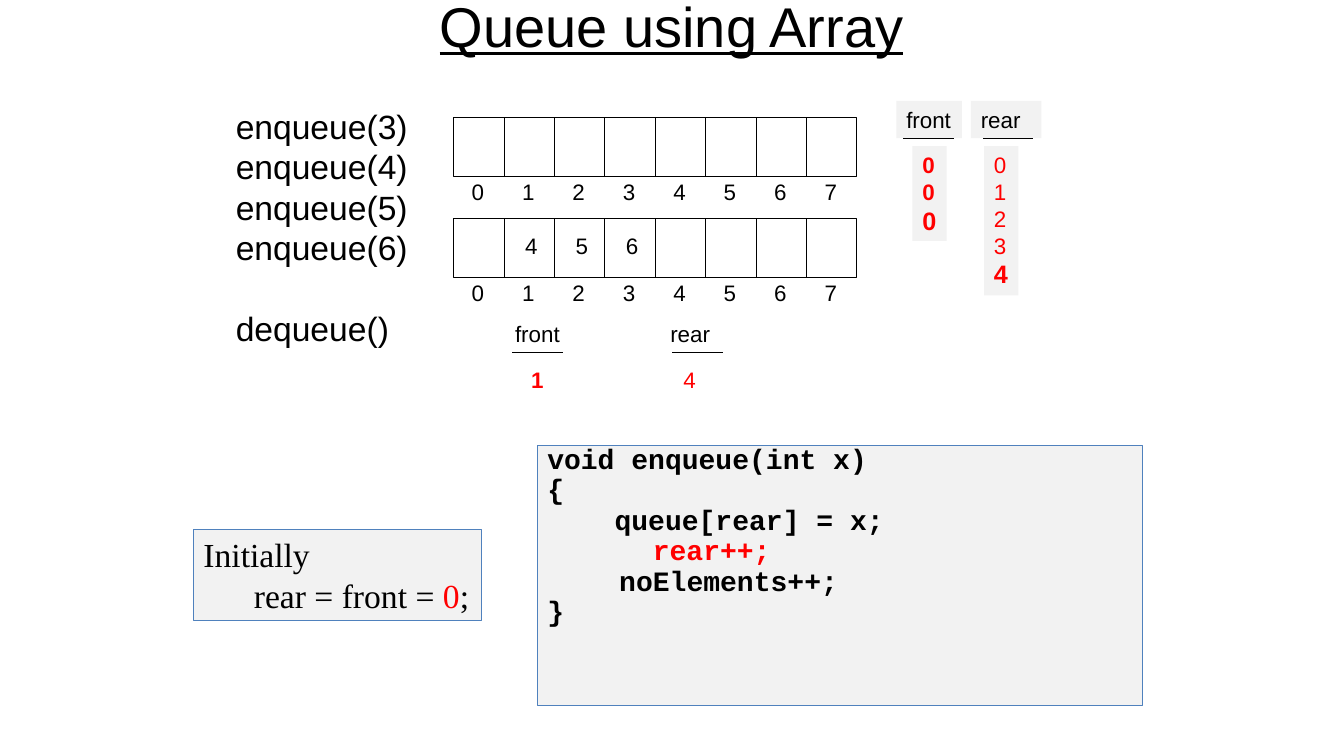
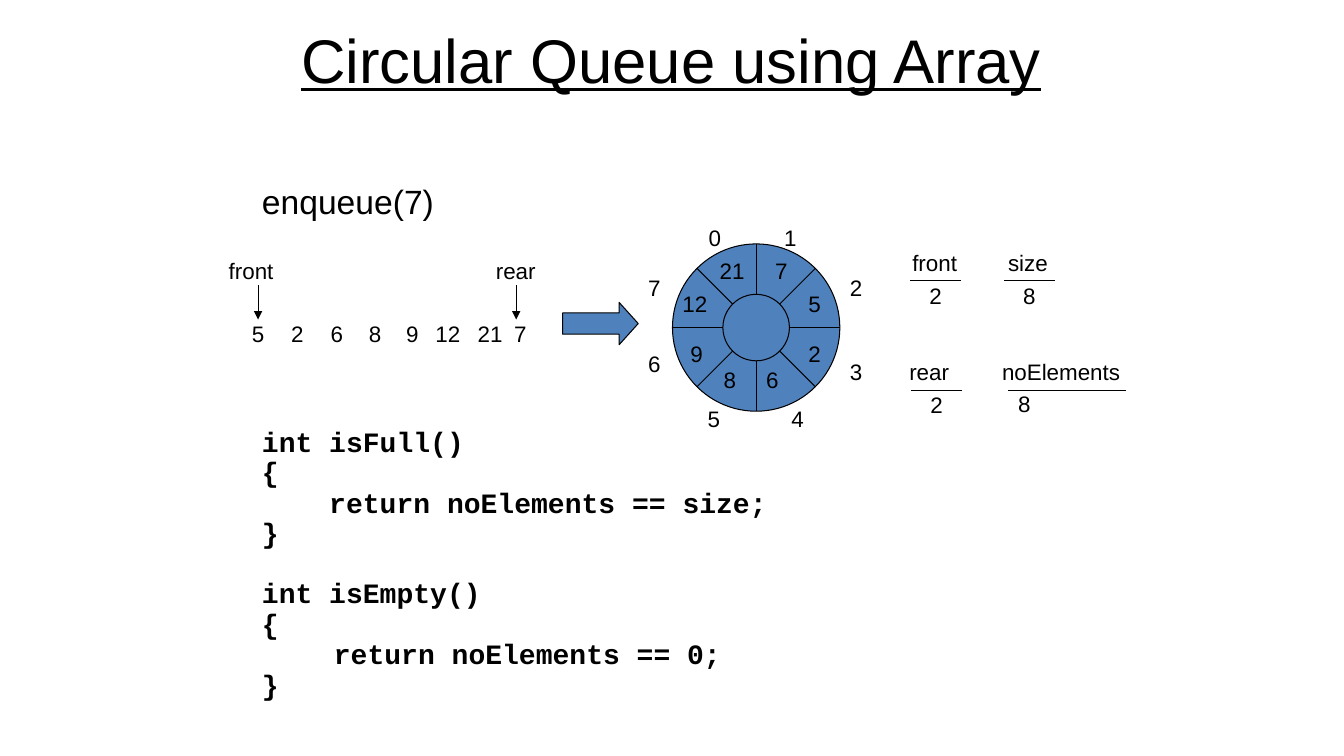
import math

from pptx import Presentation
from pptx.dml.color import RGBColor
from pptx.enum import shapes, text
from pptx.oxml.ns import qn
from pptx.util import Inches, Pt
from lxml import etree

BLACK, WHITE, RED = "000000", "FFFFFF", "FF0000"
GREY, BLUE = "F2F2F2", "4F81BD"
SANS, SERIF, MONO = "Arial", "Times New Roman", "Courier New"


def rgb(value):
    return RGBColor.from_string(value)


def run(content, **style):
    """A piece of text with its own style: size, color, bold, font, underline."""
    return content, style


def para(*runs, before=0, indent=0, spacing=None):
    """A paragraph made of strings or styled runs."""
    return runs, before, indent, spacing


class Deck:
    """Holds the shared style and the slide being drawn."""

    def __init__(self):
        self.prs = Presentation()
        self.prs.slide_width = Inches(13.33)
        self.prs.slide_height = Inches(7.5)
        self.s = None

    def slide(self, title, top, size):
        self.s = self.prs.slides.add_slide(self.prs.slide_layouts[6])
        sp = self.text(2.16, top, 9, 1, [title], size=size, underline=True)
        sp.text_frame.vertical_anchor = text.MSO_ANCHOR.MIDDLE
        sp.text_frame.paragraphs[0].alignment = text.PP_ALIGN.CENTER

    def shape(self, kind, x, y, w, h, fill, line=None):
        sp = self.s.shapes.add_shape(kind, Inches(x), Inches(y), Inches(w), Inches(h))
        sp.shadow.inherit = False
        sp.fill.solid()
        sp.fill.fore_color.rgb = rgb(fill)
        if line:
            sp.line.color.rgb = rgb(line)
            sp.line.width = Pt(0.75)
        else:
            sp.line.fill.background()
        return sp

    def rect(self, x, y, w, h, fill, line=None):
        return self.shape(shapes.MSO_SHAPE.RECTANGLE, x, y, w, h, fill, line)

    def text(self, x, y, w, h, paras, fill=None, line=None, **style):
        if fill:
            sp = self.rect(x, y, w, h, fill, line)
        else:
            sp = self.s.shapes.add_textbox(Inches(x), Inches(y), Inches(w), Inches(h))
        tf = sp.text_frame
        tf.word_wrap = True
        tf.vertical_anchor = text.MSO_ANCHOR.TOP
        for i, item in enumerate(paras):
            runs, before, indent, spacing = para(item) if isinstance(item, str) else item
            p = tf.paragraphs[0] if i == 0 else tf.add_paragraph()
            p.alignment = text.PP_ALIGN.LEFT
            if i and before:
                p.space_before = Pt(before)
            if spacing:
                p.line_spacing = spacing
            if indent:
                p._p.get_or_add_pPr().set("marL", str(Inches(indent)))
            for piece in runs:
                content, own = (piece, {}) if isinstance(piece, str) else piece
                self.add_run(p, content, **{**style, **own})
        return sp

    def add_run(self, p, content, size=16, color=BLACK, bold=False, font=SANS,
                underline=False):
        r = p.add_run()
        r.text = content
        r.font.size = Pt(size)
        r.font.name = font
        r.font.bold = bold
        r.font.underline = underline
        r.font.color.rgb = rgb(color)

    def label(self, content, x, y, w=0.33, **style):
        return self.text(x, y, w, 0.37, [content], **style)

    def code(self, x, y, w, h, lines, **box):
        """Lines are strings or (text, extra) with indent, color or before."""
        paras = []
        for item in lines:
            content, extra = (item, {}) if isinstance(item, str) else item
            paras.append(para(run(content, color=extra.get("color", BLACK)),
                              before=extra.get("before", 5),
                              indent=extra.get("indent", 0), spacing=0.7))
        return self.text(x, y, w, h, paras, size=20, bold=True, font=MONO, **box)

    def line(self, x1, y1, x2, y2, arrow=False):
        c = self.s.shapes.add_connector(shapes.MSO_CONNECTOR.STRAIGHT, Inches(x1),
                                        Inches(y1), Inches(x2), Inches(y2))
        c.line.color.rgb = rgb(BLACK)
        c.line.width = Pt(0.75)
        if arrow:
            etree.SubElement(c.line._get_or_add_ln(), qn("a:tailEnd"), type="triangle")
        etree.SubElement(c._element.spPr, qn("a:effectLst"))
        return c

    def array(self, y, values, x=4.5, cell=0.5, count=8, h=0.58):
        """A row of cells with the index below each one."""
        box = self.rect(x, y, cell * count, h, WHITE, BLACK)
        for i in range(count):
            left = x + cell * i
            if i:
                c = self.line(left, y, left, y + h)
                if 2 * i == count:
                    c.begin_connect(box, 0)
                    c.end_connect(box, 2)
            self.label(str(i), left + 0.08, y + 0.55)
            if i in values:
                self.label(values[i], left + 0.11, y + 0.08)

    def variable(self, name, x, y, w, rule_x, rule_y, rule_w=0.5, fill=None):
        """A variable name with a rule under it."""
        self.label(name, x, y, w, fill=fill)
        self.line(rule_x, rule_y, rule_x + rule_w, rule_y)


def array_slide(deck):
    deck.slide("Queue using Array", -0.25, 40)

    # Calls and the arrays before and after them
    calls = [f"enqueue({n})" for n in range(3, 7)]
    deck.text(2.24, 1, 1.96, 2.52, calls + [para("dequeue()", before=29)], size=24)
    deck.array(1.17, {})
    deck.array(2.17, {1: "4", 2: "5", 3: "6"})

    # History of front and rear
    deck.variable("front", 8.89, 1, 0.65, 8.96, 1.37, fill=GREY)
    deck.variable("rear", 9.63, 1, 0.7, 9.75, 1.37, fill=GREY)
    deck.text(9.05, 1.45, 0.34, 0.94, ["0", "0", para(run("0", size=18))],
              fill=GREY, color=RED, bold=True)
    deck.text(9.76, 1.45, 0.34, 1.48,
              ["0", "1", "2", "3", para(run("4", size=18, bold=True))],
              fill=GREY, color=RED)

    # Values after dequeue
    deck.variable("front", 5.01, 3.13, 0.65, 5.08, 3.5)
    deck.label("1", 5.17, 3.58, color=RED, bold=True)
    deck.variable("rear", 6.55, 3.13, 0.7, 6.67, 3.5)
    deck.label("4", 6.68, 3.58, color=RED)

    # Code and starting state
    deck.code(5.33, 4.42, 6, 2.58, [
        "void enqueue(int x)",
        "{",
        "    queue[rear] = x;",
        (" rear++;", {"indent": 0.88, "color": RED}),
        ("  noElements++;", {"indent": 0.38}),
        "}",
    ], fill=GREY, line=BLUE)
    deck.text(1.92, 5.25, 2.86, 0.91, [
        "Initially",
        para("rear = front = ", run("0", color=RED), ";", indent=0.5),
    ], fill=GREY, line=BLUE, size=24, font=SERIF)


def circular_slide(deck):
    deck.slide("Circular Queue using Array", 0.08, 44)
    deck.text(2.5, 1.75, 1.91, 0.5, ["enqueue(7)"], size=24)

    # Queue contents with the two pointers
    queue = [("5", 2.4), ("2", 2.79), ("6", 3.18), ("8", 3.56), ("9", 3.93),
             ("12", 4.22), ("21", 4.64), ("7", 5)]
    for value, x in queue:
        deck.label(value, x, 3.13, 0.33 if len(value) == 1 else 0.46)
    for name, x, w, tip in [("front", 2.17, 0.65, 2.56), ("rear", 4.82, 0.6, 5.12)]:
        deck.label(name, x, 2.5, w)
        deck.line(tip, 2.83, tip, 3.17, arrow=True)
    arrow = deck.shape(shapes.MSO_SHAPE.RIGHT_ARROW, 5.58, 3, 0.75, 0.42, BLUE, BLACK)
    arrow.adjustments[1] = 0.45

    # Ring with eight cells
    cx, cy, outer, inner = 7.5, 3.25, 0.83, 0.33
    for radius in (outer, inner):
        deck.shape(shapes.MSO_SHAPE.OVAL, cx - radius, cy - radius,
                   2 * radius, 2 * radius, BLUE, BLACK)
    for k in range(8):
        dx, dy = math.cos(k * math.pi / 4), math.sin(k * math.pi / 4)
        deck.line(cx + inner * dx, cy + inner * dy, cx + outer * dx, cy + outer * dy)

    # Index outside and value inside each cell
    indexes = [(6.93, 2.17), (7.68, 2.17), (8.33, 2.67), (8.33, 3.5),
               (7.75, 3.97), (6.92, 3.97), (6.33, 3.42), (6.33, 2.67)]
    cells = [("21", 7.04, 2.5), ("7", 7.59, 2.5), ("5", 7.92, 2.83), ("2", 7.92, 3.33),
             ("6", 7.5, 3.58), ("8", 7.08, 3.58), ("9", 6.75, 3.33), ("12", 6.67, 2.83)]
    for i, (x, y) in enumerate(indexes):
        deck.label(str(i), x, y)
    for value, x, y in cells:
        deck.label(value, x, y, 0.33 if len(value) == 1 else 0.46)

    # Variables
    deck.variable("front", 8.95, 2.42, 0.65, 9.03, 2.78)
    deck.label("2", 9.12, 2.75)
    deck.variable("size", 9.9, 2.42, 0.6, 9.96, 2.78)
    deck.label("8", 10.05, 2.75)
    deck.variable("rear", 8.92, 3.5, 0.7, 9.04, 3.87)
    deck.label("2", 9.13, 3.83)
    deck.variable("noElements", 9.84, 3.5, 1.41, 10, 3.87, 1.17)
    deck.label("8", 10, 3.82)

    # Code
    deck.code(2.5, 4.25, 8.92, 2.83, [
        "int isFull()",
        "{",
        "    return noElements == size;",
        "}",
        ("int isEmpty()", {"before": 26}),
        "{",
        ("  return noElements == 0;", {"indent": 0.38}),
        "}",
    ])


def main():
    deck = Deck()
    array_slide(deck)
    circular_slide(deck)
    deck.prs.save("out.pptx")


if __name__ == "__main__":
    main()
